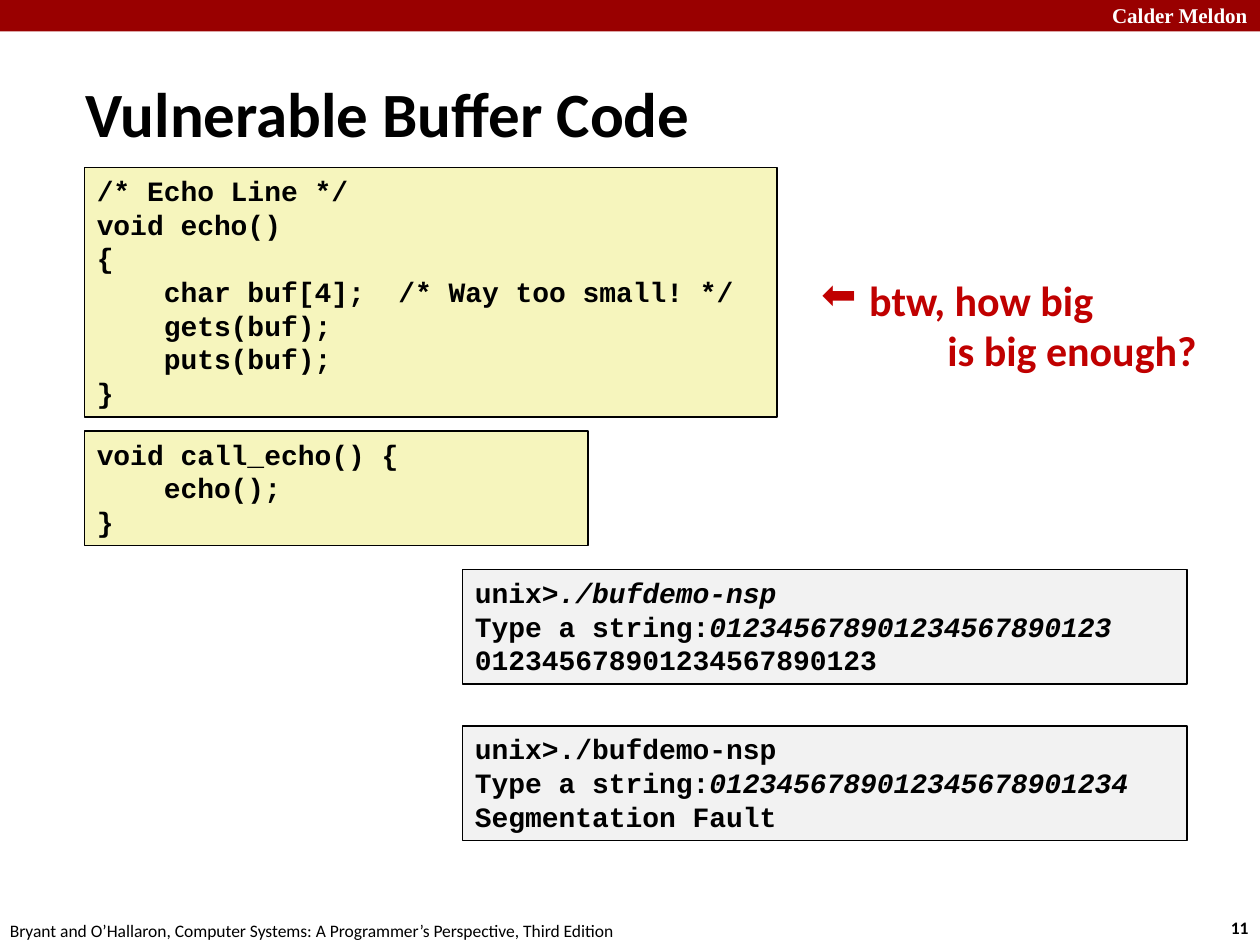
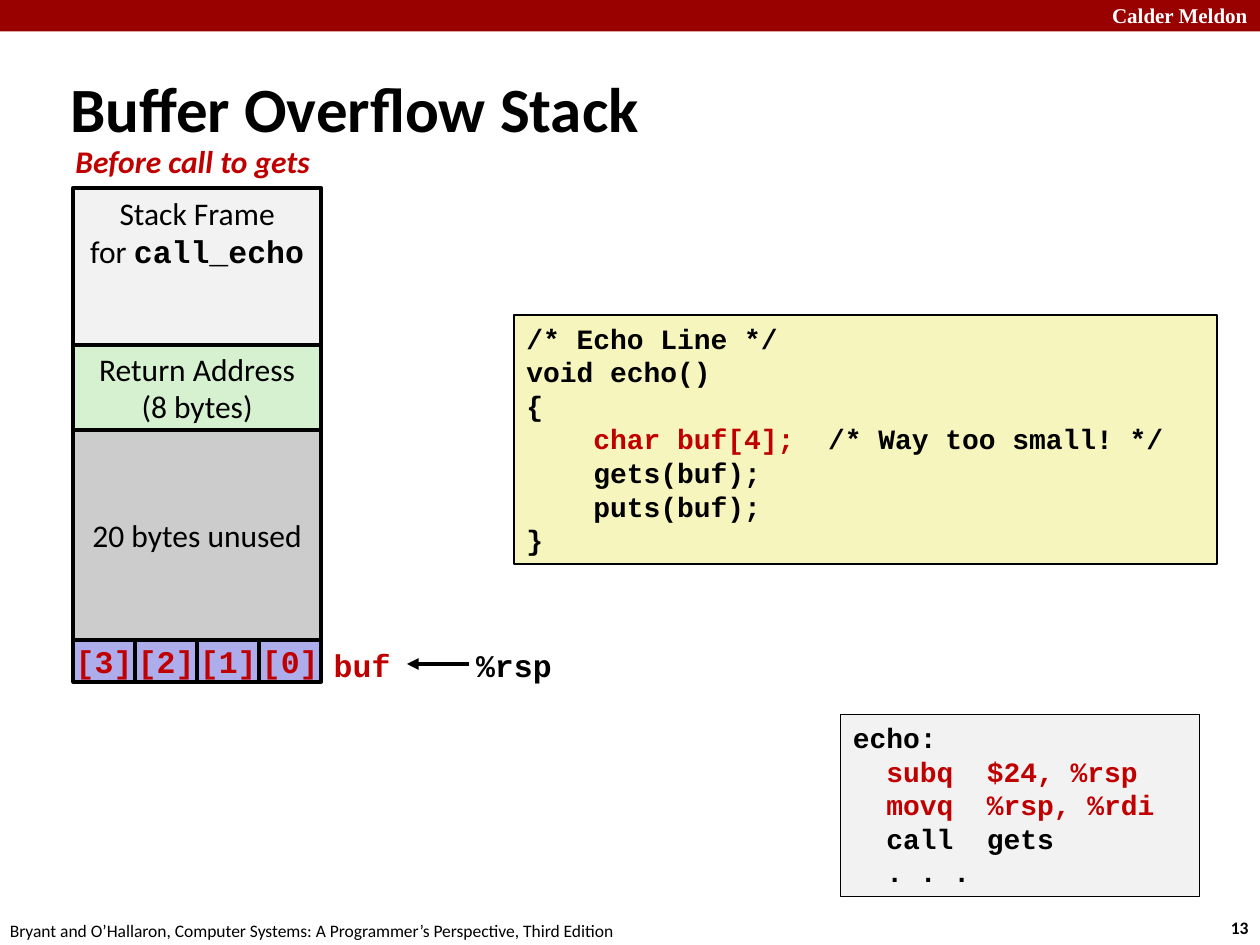
from lxml import etree
from pptx import Presentation
from pptx.dml.color import RGBColor
from pptx.enum.shapes import MSO_CONNECTOR as CONN, MSO_SHAPE as SHAPE
from pptx.enum.text import MSO_ANCHOR as ANCHOR, PP_ALIGN as ALIGN
from pptx.oxml.ns import qn
from pptx.util import Inches, Pt

BLACK = RGBColor(0x00, 0x00, 0x00)
WHITE = RGBColor(0xFF, 0xFF, 0xFF)
BAND = RGBColor(0x99, 0x00, 0x00)
RED = RGBColor(0xC0, 0x00, 0x00)
YELLOW = RGBColor(0xF6, 0xF5, 0xBD)
LIGHT = RGBColor(0xF2, 0xF2, 0xF2)
GREEN = RGBColor(0xD5, 0xF1, 0xCF)
GRAY = RGBColor(0xCC, 0xCC, 0xCC)
VIOLET = RGBColor(0xAD, 0xAD, 0xEB)
SANS, MONO, SERIF = "Calibri", "Courier New", "Times New Roman"

FOOTER = "Bryant and O’Hallaron, Computer Systems: A Programmer’s Perspective, Third Edition"
ITALIC = {"italic": True}
RED_PART = {"color": RED}


def add_text(s, at, text, size, name=SANS, color=BLACK, bold=False, italic=False,
             fill=None, line=1, align=ALIGN.LEFT, anchor=ANCHOR.TOP, wrap=False, accent=None):
    box = [Inches(v) for v in at]
    if fill is None:
        sp = s.shapes.add_textbox(*box)
    else:
        sp = s.shapes.add_shape(SHAPE.RECTANGLE, *box)
        sp.shadow.inherit = False
        sp.fill.solid()
        sp.fill.fore_color.rgb = fill
        sp.line.color.rgb = BLACK
        sp.line.width = Pt(line)
    tf = sp.text_frame
    tf.word_wrap = wrap
    tf.vertical_anchor = anchor
    base = {"name": name, "color": color, "bold": bold, "italic": italic}
    for i, row in enumerate(text.split("\n")):
        p = tf.paragraphs[0] if i == 0 else tf.add_paragraph()
        p.alignment = align
        for j, part in enumerate(row.split("|")):
            if not part:
                continue
            r = p.add_run()
            r.text = part
            style = {**base, **accent} if j % 2 else base
            r.font.size = Pt(size)
            r.font.name = style["name"]
            r.font.color.rgb = style["color"]
            r.font.bold = style["bold"]
            r.font.italic = style["italic"]
    return sp


def add_code(s, left, top, width, code, fill, accent=None):
    height = 0.11 + 0.267 * len(code.split("\n"))
    add_text(s, (left, top, width, height), code, 16, MONO, bold=True,
             fill=fill, wrap=True, accent=accent)


prs = Presentation()
prs.slide_width, prs.slide_height = Inches(10), Inches(7.5)

slides = []
for title, number, left, top in [("Vulnerable Buffer Code", "11", 0.58, 0.58),
                                 ("Buffer Overflow Stack", "13", 0.46, 0.54)]:
    s = prs.slides.add_slide(prs.slide_layouts[6])
    band = s.shapes.add_shape(SHAPE.RECTANGLE, 0, 0, prs.slide_width, Inches(0.25))
    band.shadow.inherit = False
    band.fill.solid()
    band.fill.fore_color.rgb = BAND
    band.line.fill.background()
    add_text(s, (8, -0.03, 2, 0.3), "Calder Meldon", 12, SERIF, WHITE, bold=True,
             align=ALIGN.RIGHT, wrap=True)
    add_text(s, (9.67, 7.23, 0.37, 0.27), number, 10, bold=True)
    add_text(s, (-0.02, 7.25, 5.08, 0.27), FOOTER, 10)
    add_text(s, (left, top, 7.1, 0.63), title, 36, bold=True, anchor=ANCHOR.MIDDLE, wrap=True)
    slides.append(s)
code_slide, stack_slide = slides

ECHO = """/* Echo Line */
void echo()
{
    |char buf[4];  |/* Way too small! */
    gets(buf);
    puts(buf);
}"""
CALL_ECHO = """void call_echo() {
    echo();
}"""
RUN_OK = """unix>|./bufdemo-nsp
Type a string:|012345678901234567890123
012345678901234567890123"""
RUN_FAULT = """unix>./bufdemo-nsp
Type a string:|0123456789012345678901234
Segmentation Fault"""
ASSEMBLY = """echo:
  |subq  $24, %rsp
|  movq  %rsp, %rdi
  call  gets
  . . ."""

s = code_slide
add_code(s, 0.67, 3.42, 4, CALL_ECHO, YELLOW)
add_code(s, 0.67, 1.33, 5.5, ECHO, YELLOW, accent={})
add_code(s, 3.67, 4.52, 5.75, RUN_OK, LIGHT, ITALIC)
add_code(s, 3.67, 5.76, 5.75, RUN_FAULT, LIGHT, ITALIC)
question = add_text(s, (6.42, 2.13, 3.21, 0.91), "btw, how big\n\tis big enough?", 24,
                    color=RED, bold=True)
first, second = [p._p.get_or_add_pPr() for p in question.text_frame.paragraphs]
first.set("marL", str(Inches(0.38)))
first.set("indent", str(Inches(-0.38)))
etree.SubElement(first, qn("a:buChar")).set("char", "⬅")
tabs = etree.SubElement(second, qn("a:tabLst"))
etree.SubElement(tabs, qn("a:tab"), pos=str(Inches(1)), algn="l")

s = stack_slide
add_code(s, 6.67, 5.67, 2.85, ASSEMBLY, LIGHT, RED_PART)
add_code(s, 4.08, 2.5, 5.58, ECHO, YELLOW, RED_PART)
add_text(s, (0.5, 1.08, 2.09, 0.4), "Before call to gets", 18, color=RED, bold=True, italic=True)

stack_left, stack_width, top = 0.58, 1.97, 1.49
for text, height, fill, anchor in [
    ("Stack Frame\nfor |call_echo", 1.25, LIGHT, ANCHOR.TOP),
    ("Return Address\n(8 bytes)", 0.67, GREEN, ANCHOR.MIDDLE),
    ("20 bytes unused", 1.67, GRAY, ANCHOR.MIDDLE),
]:
    add_text(s, (stack_left, top, stack_width, height), text, 18, fill=fill, line=2.25,
             align=ALIGN.CENTER, anchor=anchor, accent={"name": MONO, "bold": True})
    top += height

cell = stack_width / 4
for i in range(4):
    add_text(s, (stack_left + i * cell, top, cell, 0.33), f"[{3 - i}]", 18, MONO, RED, bold=True,
             fill=VIOLET, line=2.25, align=ALIGN.CENTER, anchor=ANCHOR.MIDDLE)

add_text(s, (2.55, 5.08, 0.65, 0.4), "buf", 18, MONO, RED, bold=True)
add_text(s, (3.68, 5.08, 0.81, 0.4), "%rsp", 18, MONO, bold=True)
arrow = s.shapes.add_connector(CONN.STRAIGHT, Inches(3.72), Inches(5.27), Inches(3.23), Inches(5.27))
arrow.line.color.rgb = BLACK
arrow.line.width = Pt(2.25)
spPr = arrow._element.spPr
etree.SubElement(spPr.find(qn("a:ln")), qn("a:tailEnd")).set("type", "triangle")
etree.SubElement(spPr, qn("a:effectLst"))

prs.save("out.pptx")
